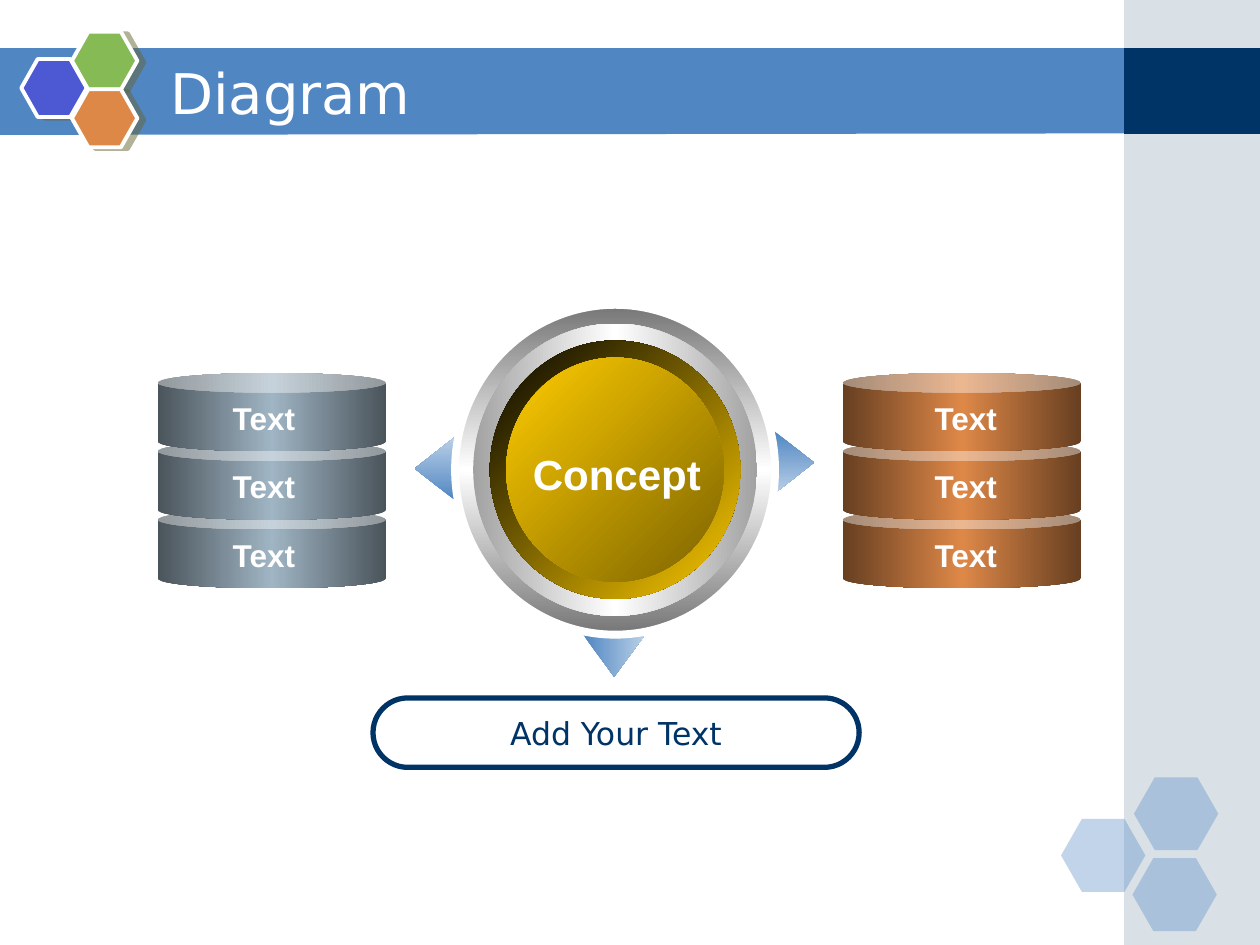
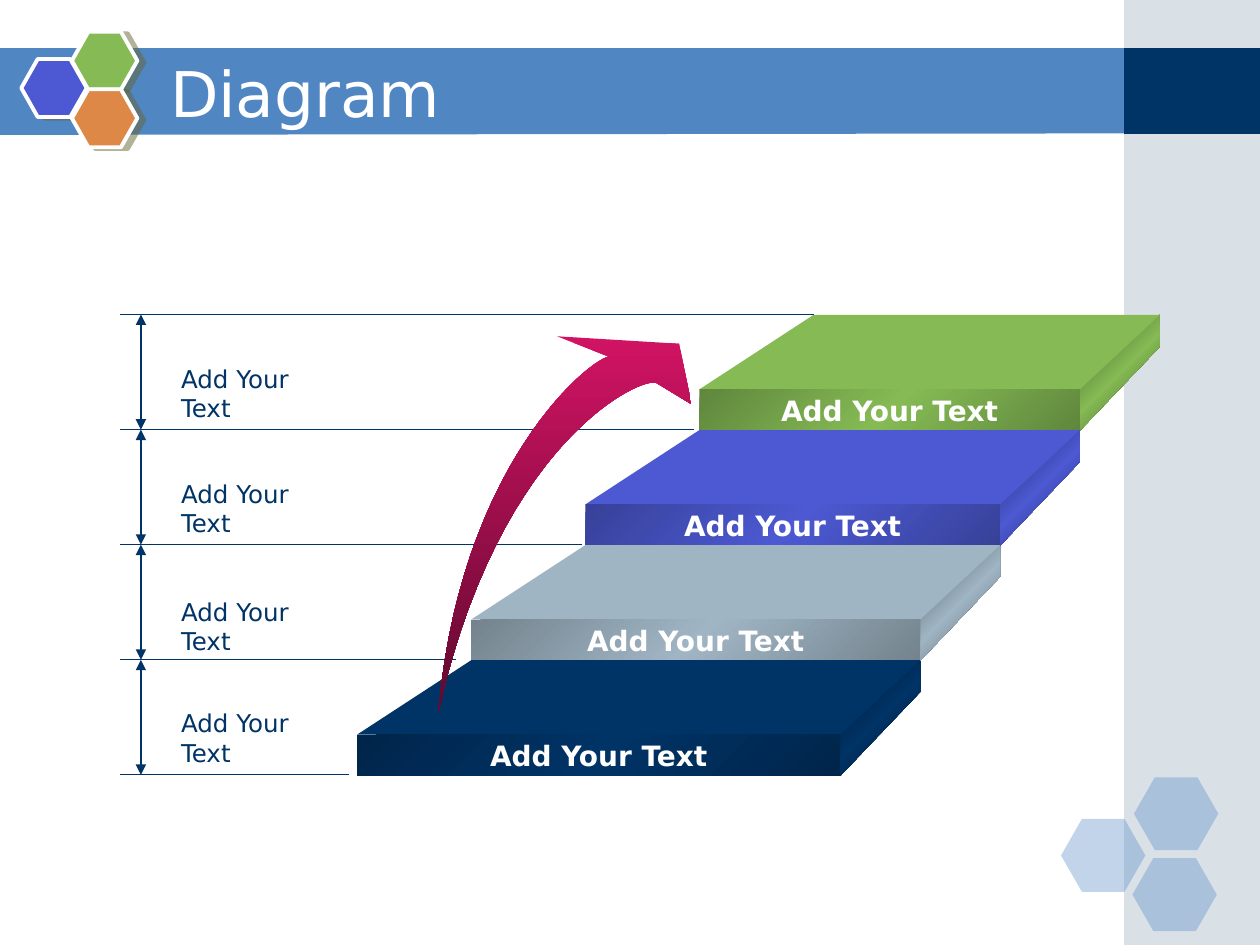
from lxml.etree import SubElement
from pptx import Presentation
from pptx.dml.color import RGBColor
from pptx.enum.shapes import MSO_CONNECTOR, MSO_SHAPE as Preset
from pptx.enum.text import MSO_ANCHOR as Anchor, PP_ALIGN as Align
from pptx.oxml.ns import qn
from pptx.util import Cm, Pt

WHITE = RGBColor(0xFF, 0xFF, 0xFF)
BLACK = RGBColor(0x00, 0x00, 0x00)
NAVY = RGBColor(0x00, 0x33, 0x66)
BLUE = RGBColor(0x50, 0x86, 0xC2)
PALE_BLUE = RGBColor(0xBA, 0xD0, 0xE7)
STEEL = RGBColor(0xA0, 0xB5, 0xC4)
INDIGO = RGBColor(0x4C, 0x59, 0xD2)
GREEN = RGBColor(0x85, 0xBA, 0x54)
ORANGE = RGBColor(0xDE, 0x88, 0x48)
OLIVE = RGBColor(0x66, 0x66, 0x33)
GREY = RGBColor(0x76, 0x76, 0x76)
SILVER = RGBColor(0xA2, 0xA2, 0xA2)
GOLD = RGBColor(0xFF, 0xCC, 0x00)
DARK_GOLD = RGBColor(0x7C, 0x63, 0x00)
PINK = RGBColor(0xD1, 0x13, 0x64)
SANS, BOLD_FACE = "DejaVu Sans", "Arial"
DEEP, SOFT = 0.464, 0.725  # shading factors

# Shared frame, all lengths in cm
BAND = [(0, 0.97), (22.73, 0.97), (22.73, 2.69), (0, 2.72)]
SIDE_STRIP = (22.66, 0, 2.74, 19.05)
BAND_END = (22.66, 0.97, 2.74, 1.73)
TITLE_BOX = (3.18, 1.07, 18.62, 1.57)
PALE_HEXAGONS = [(21.39, 16.51), (22.86, 15.67), (22.83, 17.3)]
EMBLEM = [(0.43, 1.19, INDIGO), (1.45, 0.64, GREEN), (1.45, 1.8, ORANGE)]

# Concept slide
POINTERS = [  # frame, rotation, gradient angle
    ((8.13, 9.04, 1.27, 0.81), 270, 270),
    ((15.37, 8.92, 1.27, 0.81), 90, 90),
    ((11.76, 12.8, 1.24, 0.84), 180, 0),
]
RING_CENTRE = (12.4, 9.47)
RINGS = [  # width, height, gradient colours, angle
    (6.45, 6.65, [GREY, WHITE, GREY], 90),
    (5.72, 5.89, [SILVER, WHITE, SILVER], 0),
    (5.05, 5.21, [BLACK, GOLD], 45),
    (4.39, 4.52, [GOLD, DARK_GOLD], 45),
]
CONCEPT = ("Concept", (10.49, 8.92, 3.89, 1.27))
STACKS = [  # left, width, label left, colour, labels
    (3.18, 4.6, 4.42, STEEL, ["Text", "Text", "Text"]),
    (16.99, 4.8, 18.57, ORANGE, ["Text", "Text", "Text"]),
]
CAN_TOP, CAN_HEIGHT, CAN_PITCH = 7.52, 1.58, 1.38
PILL = ("Add Your Text", (7.52, 14.07, 9.8, 1.4))

# Stairs slide, lowest step first
STEPS = [  # colour, front text, label, label top
    (NAVY, "Add Your Text", "Add Your Text", 14.15),
    (STEEL, "Add Your Text", "Add Your Text", 11.91),
    (INDIGO, "Add Your Text", "Add Your Text", 9.53),
    (GREEN, "Add Your Text", "Add Your Text", 7.21),
]
FRONT_LEFT, FRONT_RIGHT, FRONT_TOP, FRONT_HEIGHT = 7.2, 16.94, 14.81, 0.83
SHIFT_LEFT, SHIFT_RIGHT, RISE, DEPTH = 2.3, 1.61, 2.32, 1.5
RULE_LEFT, RULE_BOTTOM, RULE_ENDS = 2.41, 15.62, [7.04, 9.19, 11.73, 14, 16.41]
MEASURE_X, LABEL_LEFT = 2.84, 3.4
TAIL = (8.84, 14.35)
OUTER_CURVE = [TAIL, (9.27, 9.4), (11.86, 7.26), (12.27, 7.19)]
ARROW_HEAD = [(11.23, 6.78), (13.69, 6.93), (13.94, 8.15)]
INNER_CURVE = [(13.23, 7.72), (12.93, 7.59), (10.06, 8.89), TAIL]


def shade(colour, factor):
    return RGBColor(*(round(part * factor) for part in colour))


def shaded(colour, factor):
    """Gradient colours: dark edges around the pure colour."""
    return [shade(colour, factor), colour, shade(colour, factor)]


def add_xml(parent, tag, **attributes):
    return SubElement(parent, qn(tag), {k: str(v) for k, v in attributes.items()})


def add_colour(parent, colour, opacity=None):
    node = add_xml(parent, "a:srgbClr", val=colour)
    if opacity is not None:
        add_xml(node, "a:alpha", val=opacity * 1000)


def paint(shape, fill, angle=0, opacity=None, line=None, weight=0):
    """Fill with one colour, or with a gradient when given a list."""
    shape.shadow.inherit = False
    if isinstance(fill, list):
        shape.fill.gradient()
        gradient = shape._element.spPr.find(qn("a:gradFill"))
        for child in list(gradient):
            gradient.remove(child)
        gradient.set("rotWithShape", "0")
        stops = add_xml(gradient, "a:gsLst")
        for index, colour in enumerate(fill):
            place = 100000 * index // (len(fill) - 1)
            add_colour(add_xml(stops, "a:gs", pos=place), colour)
        add_xml(gradient, "a:lin", ang=angle * 60000, scaled=0)
    else:
        shape.fill.solid()
        shape.fill.fore_color.rgb = fill
        if opacity is not None:
            solid = shape._element.spPr.find(qn("a:solidFill"))
            solid.remove(solid[0])
            add_colour(solid, fill, opacity)
    if line is None:
        shape.line.fill.background()
    else:
        shape.line.color.rgb = line
        shape.line.width = Pt(weight)
    return shape


def add_preset(page, preset, frame, fill, adjust=(), **style):
    shape = page.shapes.add_shape(preset, *map(Cm, frame))
    for index, value in enumerate(adjust):
        shape.adjustments[index] = value
    return paint(shape, fill, **style)


def add_outline(page, points, fill, **style):
    corners = [(Cm(x), Cm(y)) for x, y in points]
    builder = page.shapes.build_freeform(*corners[0])
    builder.add_line_segments(corners[1:], close=True)
    return paint(builder.convert_to_shape(), fill, **style)


def write(shape, text, size, colour, face=SANS, bold=False, align=Align.CENTER,
          anchor=Anchor.MIDDLE, wrap=False):
    frame = shape.text_frame
    frame.text = text
    frame.word_wrap = wrap
    frame.vertical_anchor = anchor
    para = frame.paragraphs[0]
    para.alignment = align
    font = para.runs[0].font
    font.name, font.size, font.bold = face, Pt(size), bold
    font.color.rgb = colour


def add_text(page, frame, text, size, colour, **style):
    write(page.shapes.add_textbox(*map(Cm, frame)), text, size, colour, **style)


def add_line(page, start, end, arrows=False):
    line = page.shapes.add_connector(MSO_CONNECTOR.STRAIGHT, *map(Cm, start + end))
    line.line.color.rgb = NAVY
    line.line.width = Pt(0.75)
    if arrows:
        outline = line.line._get_or_add_ln()
        add_xml(outline, "a:headEnd", type="triangle")
        add_xml(outline, "a:tailEnd", type="triangle")
    add_xml(line._element.spPr, "a:effectLst")


def add_page(deck, title, title_size):
    """Blank page with the shared band, strip, hexagons and title."""
    page = deck.slides.add_slide(deck.slide_layouts[6])
    add_outline(page, BAND, BLUE)
    add_preset(page, Preset.RECTANGLE, SIDE_STRIP, STEEL, opacity=40)
    add_preset(page, Preset.RECTANGLE, BAND_END, NAVY)
    for left, top in PALE_HEXAGONS:
        add_preset(page, Preset.HEXAGON, (left, top, 1.7, 1.47), BLUE, [0.286], opacity=35)
    for left, top, colour in EMBLEM:
        tile = add_preset(page, Preset.HEXAGON, (left, top, 1.32, 1.17), colour,
                          [0.283], line=WHITE, weight=2.25)
        effects = tile._element.spPr.find(qn("a:effectLst"))
        shadow = add_xml(effects, "a:outerShdw", dist=Pt(4.1), dir=14 * 60000,
                         algn="ctr", rotWithShape=0)
        add_colour(shadow, OLIVE, 50)
    add_text(page, TITLE_BOX, title, title_size, WHITE, align=Align.LEFT, wrap=True)
    return page


def build_concept(deck):
    page = add_page(deck, "Diagram", 32)
    for frame, rotation, angle in POINTERS:
        pointer = add_preset(page, Preset.UP_ARROW, frame, [BLUE, PALE_BLUE],
                             [0.517, 1], angle=angle)
        pointer.rotation = rotation
    centre_x, centre_y = RING_CENTRE
    for index, (width, height, colours, angle) in enumerate(RINGS):
        frame = (centre_x - width / 2, centre_y - height / 2, width, height)
        rim = {} if index else {"line": WHITE, "weight": 4.5}
        add_preset(page, Preset.OVAL, frame, colours, angle=angle, **rim)
    for left, width, label_left, colour, labels in STACKS:
        rows = [(CAN_TOP + CAN_PITCH * i, label) for i, label in enumerate(labels)]
        for top, _ in reversed(rows):
            add_preset(page, Preset.CAN, (left, top, width, CAN_HEIGHT),
                       shaded(colour, DEEP), [0.25])
        for top, label in rows:
            add_text(page, (label_left, top + 0.4, 1.8, 1.02), label, 18, WHITE,
                     face=BOLD_FACE, bold=True, anchor=Anchor.TOP)
    text, frame = CONCEPT
    add_text(page, frame, text, 24, WHITE, face=BOLD_FACE, bold=True, anchor=Anchor.TOP)
    text, frame = PILL
    pill = add_preset(page, Preset.ROUNDED_RECTANGLE, frame, WHITE, [0.5],
                      line=NAVY, weight=3)
    write(pill, text, 18, NAVY)


def bezier(controls, pieces=28):
    """Points along a cubic curve."""
    def blend(t, a, b, c, d):
        u = 1 - t
        return u**3 * a + 3 * u * u * t * b + 3 * u * t * t * c + t**3 * d
    return [tuple(blend(i / pieces, *axis) for axis in zip(*controls))
            for i in range(pieces + 1)]


def add_step(page, level, colour, text):
    left = FRONT_LEFT + SHIFT_LEFT * level
    right = FRONT_RIGHT + SHIFT_RIGHT * level
    top = FRONT_TOP - RISE * level
    back_right, back = right + SHIFT_RIGHT, top - DEPTH
    add_outline(page, [(back_right, back + 0.64), (right, top + FRONT_HEIGHT),
                       (right, top), (back_right, back)],
                shaded(colour, DEEP), angle=45)
    add_outline(page, [(right, top), (left, top), (left + SHIFT_LEFT, back),
                       (back_right, back)], colour)
    front = add_preset(page, Preset.RECTANGLE, (left, top, right - left, FRONT_HEIGHT),
                       shaded(colour, SOFT), angle=45)
    write(front, text, 16, WHITE, bold=True)


def build_stairs(deck):
    page = add_page(deck, "Diagram", 36)
    rules = [RULE_BOTTOM - RISE * i for i in range(len(RULE_ENDS))]
    for y, end in zip(rules, RULE_ENDS):
        add_line(page, (end, y), (RULE_LEFT, y))
    for lower, upper in zip(rules, rules[1:]):
        add_line(page, (MEASURE_X, upper), (MEASURE_X, lower), arrows=True)
    for _, _, label, top in STEPS:
        add_text(page, (LABEL_LEFT, top, 3.76, 0.86), label, 14, NAVY,
                 align=Align.LEFT, anchor=Anchor.TOP, wrap=True)
    for level, (colour, text, _, _) in reversed(list(enumerate(STEPS))):
        add_step(page, level, colour, text)
    add_outline(page, bezier(OUTER_CURVE) + ARROW_HEAD + bezier(INNER_CURVE),
                [PINK, shade(PINK, DEEP)], angle=90)


def main():
    deck = Presentation()
    deck.slide_width, deck.slide_height = Cm(25.4), Cm(19.05)
    build_concept(deck)
    build_stairs(deck)
    deck.save("out.pptx")


if __name__ == "__main__":
    main()
